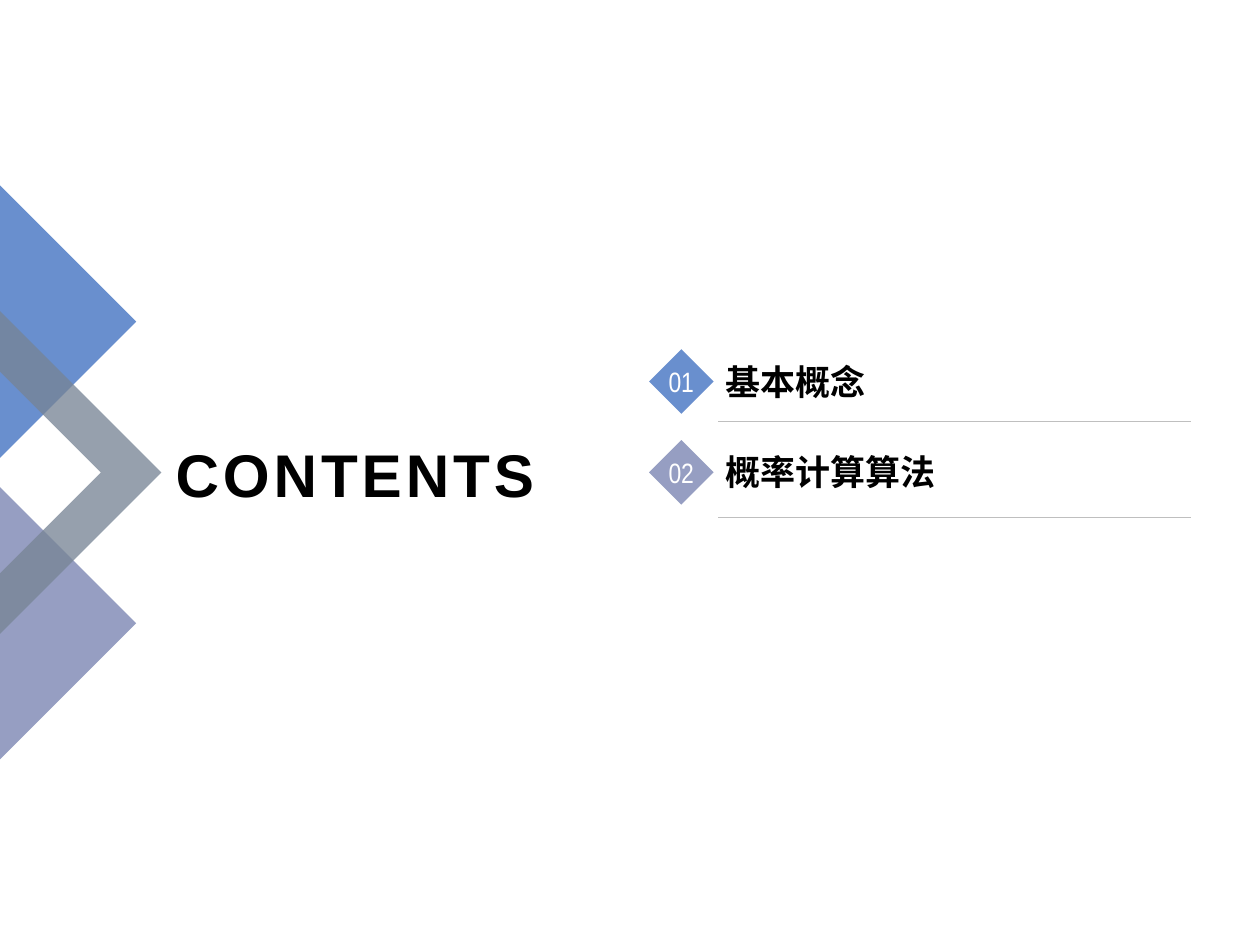
from lxml import etree
from pptx import Presentation
from pptx.dml.color import RGBColor
from pptx.enum.shapes import MSO_CONNECTOR, MSO_SHAPE
from pptx.enum.text import MSO_ANCHOR, MSO_AUTO_SIZE, PP_ALIGN
from pptx.oxml.ns import qn
from pptx.util import Pt

DIAMOND = MSO_SHAPE.DIAMOND
STRAIGHT = MSO_CONNECTOR.STRAIGHT
MIDDLE, TOP = MSO_ANCHOR.MIDDLE, MSO_ANCHOR.TOP
LEFT, CENTER, RIGHT = PP_ALIGN.LEFT, PP_ALIGN.CENTER, PP_ALIGN.RIGHT

TITLE = "CONTENTS"
ITEMS = [
    {"number": "01", "label": "基本概念", "color": "blue", "top": 199.6, "width": 94.3, "rule": 241},
    {"number": "02", "label": "概率计算算法", "color": "violet", "top": 251.5, "width": 134.6, "rule": 295.4},
]

THEME = {
    "blue": "698FCE", "violet": "969EC2", "gray": "778495",
    "black": "000000", "white": "FFFFFF", "rule": "BFBFBF",
    "font": "Arial", "number_font": "Arial Narrow",
    "title_size": 34.4, "label_size": 20, "number_size": 16,
}

WIDTH, HEIGHT = 720, 540
MID = 270
TRIANGLE, TRIANGLE_OFFSET = 77.8, 86.2
CHEVRON, CHEVRON_BAND = 92.2, 34.6
BADGE_X, BADGE = 370.9, 36.9
LABEL_X, LABEL_H, LABEL_DY = 407.5, 31.7, 2.6
RULE_X1, RULE_X2 = 410.4, 680.4


def color(name):
    return RGBColor.from_string(THEME[name])


def paint(sp, fill, alpha=None):
    sp.shadow.inherit = False
    sp.fill.solid()
    sp.fill.fore_color.rgb = color(fill)
    sp.line.fill.background()
    if alpha:
        clr = sp._element.spPr.find(qn("a:solidFill"))[0]
        etree.SubElement(clr, qn("a:alpha")).set("val", str(alpha * 1000))


def add_outline(s, points, fill, alpha=None):
    start, *rest = [(Pt(x), Pt(y)) for x, y in points]
    builder = s.shapes.build_freeform(*start, scale=1.0)
    builder.add_line_segments(rest, close=True)
    paint(builder.convert_to_shape(), fill, alpha)


def write(sp, text, *, size, font="font", fill="black", bold=False, align=LEFT,
          anchor=TOP, insets=(7.2, 3.6), wrap=False, spacing=None, grow=False):
    tf = sp.text_frame
    tf.word_wrap = wrap
    tf.auto_size = MSO_AUTO_SIZE.SHAPE_TO_FIT_TEXT if grow else MSO_AUTO_SIZE.NONE
    tf.vertical_anchor = anchor
    tf.margin_left = tf.margin_right = Pt(insets[0])
    tf.margin_top = tf.margin_bottom = Pt(insets[1])
    p = tf.paragraphs[0]
    p.alignment = align
    r = p.add_run()
    r.text = text
    r.font.size = Pt(THEME[size])
    r.font.name = THEME[font]
    r.font.bold = bold
    r.font.color.rgb = color(fill)
    if spacing:
        r._r.get_or_add_rPr().set("spc", str(round(spacing * 100)))


def add_textbox(s, x, y, w, h, text, **fmt):
    write(s.shapes.add_textbox(Pt(x), Pt(y), Pt(w), Pt(h)), text, **fmt)


def add_rule(s, y):
    line = s.shapes.add_connector(STRAIGHT, Pt(RULE_X1), Pt(y), Pt(RULE_X2), Pt(y))
    line.line.color.rgb = color("rule")
    line.line.width = Pt(0.25)
    etree.SubElement(line._element.spPr, qn("a:effectLst"))


def add_decoration(s):
    for fill, cy in (("violet", MID + TRIANGLE_OFFSET), ("blue", MID - TRIANGLE_OFFSET)):
        add_outline(s, [(0, cy - TRIANGLE), (TRIANGLE, cy), (0, cy + TRIANGLE)], fill)
    inner = CHEVRON - CHEVRON_BAND
    add_outline(s, [(CHEVRON, MID), (0, MID + CHEVRON), (0, MID + inner),
                    (inner, MID), (0, MID - inner), (0, MID - CHEVRON)], "gray", 77)


def add_item(s, item):
    badge = s.shapes.add_shape(DIAMOND, Pt(BADGE_X), Pt(item["top"]), Pt(BADGE), Pt(BADGE))
    paint(badge, item["color"])
    write(badge, item["number"], size="number_size", font="number_font", fill="white",
          align=CENTER, anchor=MIDDLE, insets=(5, 2.9))
    add_rule(s, item["rule"])
    add_textbox(s, LABEL_X, item["top"] + LABEL_DY, item["width"], LABEL_H,
                item["label"], size="label_size", bold=True, grow=True)


def main():
    prs = Presentation()
    prs.slide_width, prs.slide_height = Pt(WIDTH), Pt(HEIGHT)
    s = prs.slides.add_slide(prs.slide_layouts[6])
    add_decoration(s)
    add_textbox(s, 91.4, 243.4, 221, 54.7, TITLE, size="title_size", bold=True,
                align=RIGHT, anchor=MIDDLE, wrap=True, spacing=2.2)
    for item in ITEMS:
        add_item(s, item)
    prs.save("out.pptx")


if __name__ == "__main__":
    main()
